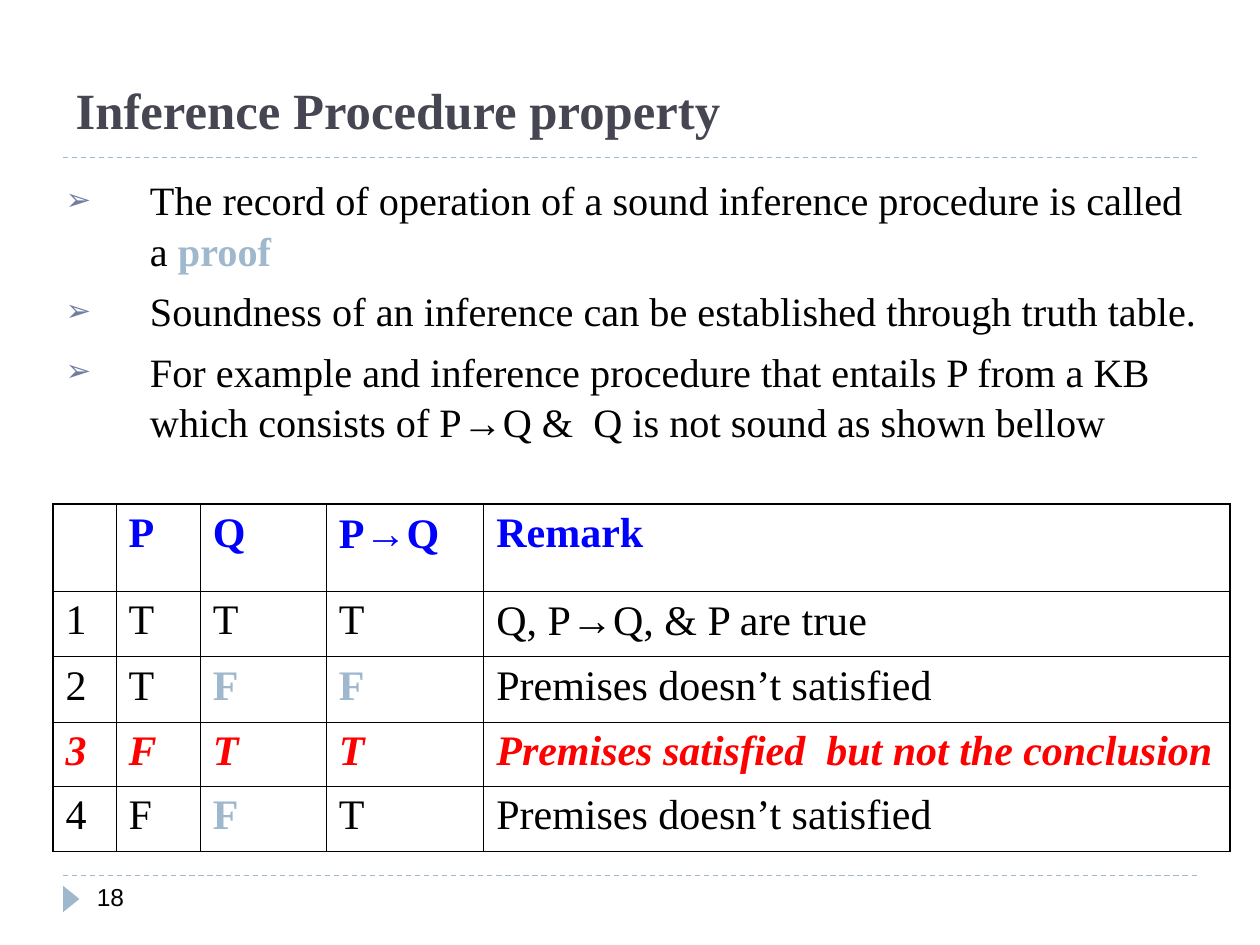
import pptx
import pptx.dml.color
import pptx.enum.dml
import pptx.enum.shapes
import pptx.enum.text
import pptx.oxml.ns
import pptx.util
from lxml import etree

Inches = pptx.util.Inches
Pt = pptx.util.Pt
RGBColor = pptx.dml.color.RGBColor
ANCHOR = pptx.enum.text.MSO_ANCHOR

BLACK = RGBColor(0x00, 0x00, 0x00)
SLATE = RGBColor(0x46, 0x46, 0x53)
PALE = RGBColor(0x9F, 0xB8, 0xCD)
BULLET = RGBColor(0x72, 0x7C, 0xA3)
BLUE = RGBColor(0x00, 0x00, 0xFF)
RED = RGBColor(0xFF, 0x00, 0x00)
SERIF = "Times New Roman"
SANS = "Arial"
ARROW = "→"

POINTS = [
    ("The record of operation of a sound inference procedure is called a ", "proof"),
    ("Soundness of an inference can be established through truth table.", ""),
    ("For example and inference procedure that entails P from a KB "
     "which consists of P→Q &  Q is not sound as shown bellow", ""),
]
ROWS = [
    ("", "P", "Q", "P→Q", "Remark"),
    ("1", "T", "T", "T", "Q, P→Q, & P are true"),
    ("2", "T", "F", "F", "Premises doesn’t satisfied"),
    ("3", "F", "T", "T", "Premises satisfied  but not the conclusion"),
    ("4", "F", "F", "T", "Premises doesn’t satisfied"),
]
WIDTHS = [0.5, 0.67, 1, 1.25, 5.92]
HEIGHTS = [0.69, 0.52, 0.52, 0.51, 0.52]
PALES = {(2, 2), (2, 3), (4, 2)}


def add_tag(parent, tag, **attrs):
    """Append a drawing element to the parent and return it."""
    return etree.SubElement(parent, pptx.oxml.ns.qn(tag), attrs)


def place(shape, box):
    """Move a shape to the box, given in inches."""
    shape.left, shape.top, shape.width, shape.height = map(Inches, box)


def write(para, text, size, color, bold=False, italic=False, face=SERIF):
    """Write text in one style, with arrows in the sans face."""
    font = para.font
    font.name, font.size = face, Pt(size)
    font.bold, font.italic = bold, italic
    font.color.rgb = color
    for part in filter(None, text.partition(ARROW)):
        run = para.add_run()
        run.text = part
        if part == ARROW:
            run.font.name = SANS


def add_rule(slide, left, top, width):
    """Draw a dashed line across the slide."""
    rule = slide.shapes.add_connector(
        pptx.enum.shapes.MSO_CONNECTOR.STRAIGHT,
        Inches(left), Inches(top), Inches(left + width), Inches(top))
    rule.line.color.rgb = PALE
    rule.line.width = Pt(0.75)
    rule.line.dash_style = pptx.enum.dml.MSO_LINE.DASH
    add_tag(rule.element.spPr, "a:effectLst")


def fill_title(slide, box):
    """Set the title."""
    title = slide.shapes.title
    place(title, box)
    frame = title.text_frame
    frame.vertical_anchor = ANCHOR.BOTTOM
    frame.auto_size = pptx.enum.text.MSO_AUTO_SIZE.NONE
    para = frame.paragraphs[0]
    para.alignment = pptx.enum.text.PP_ALIGN.LEFT
    write(para, "Inference Procedure property", 29, SLATE, bold=True)


def add_bullet(para):
    """Give a paragraph its hanging arrow bullet."""
    props = para._p.get_or_add_pPr()
    props.set("marL", str(Inches(0.67)))
    props.set("indent", str(-Inches(0.67)))
    add_tag(add_tag(props, "a:buClr"), "a:srgbClr", val=str(BULLET))
    add_tag(props, "a:buSzPct", val="76000")
    add_tag(props, "a:buFont", typeface=SANS)
    add_tag(props, "a:buChar", char="➢")


def fill_body(slide, box):
    """Set the list of points."""
    body = slide.placeholders[1]
    place(body, box)
    frame = body.text_frame
    frame.auto_size = pptx.enum.text.MSO_AUTO_SIZE.NONE
    frame.vertical_anchor = ANCHOR.TOP
    for num, (text, term) in enumerate(POINTS):
        para = frame.add_paragraph() if num else frame.paragraphs[0]
        para.space_before = Pt(6)
        para.line_spacing = 1.04
        add_bullet(para)
        write(para, text, 23, BLACK)
        if term:
            run = para.add_run()
            run.text = term
            run.font.bold = True
            run.font.color.rgb = PALE


def add_edges(cell, row, col):
    """Draw cell borders, thicker on the outside of the table."""
    props = cell._tc.get_or_add_tcPr()
    outer = {"a:lnL": col == 0, "a:lnR": col == len(WIDTHS) - 1,
             "a:lnT": row == 0, "a:lnB": row == len(ROWS) - 1}
    for tag, thick in outer.items():
        edge = add_tag(props, tag, w=str(Pt(1.08 if thick else 0.45)))
        add_tag(add_tag(edge, "a:solidFill"), "a:srgbClr", val=str(BLACK))


def get_style(row, col):
    """Return colour, bold and italic for a table cell."""
    if row == 0:
        return BLUE, True, False
    if row == 3:
        return RED, True, True
    if (row, col) in PALES:
        return PALE, True, False
    return BLACK, False, False


def add_truth(slide, box):
    """Add the truth table."""
    table = slide.shapes.add_table(len(ROWS), len(WIDTHS), *map(Inches, box)).table
    table.first_row = table.horz_banding = False
    for col, width in zip(table.columns, WIDTHS):
        col.width = Inches(width)
    for row, height in zip(table.rows, HEIGHTS):
        row.height = Inches(height)
    for row, texts in enumerate(ROWS):
        for col, text in enumerate(texts):
            cell = table.cell(row, col)
            add_edges(cell, row, col)
            cell.fill.background()
            para = cell.text_frame.paragraphs[0]
            para.space_before = Pt(6)
            write(para, text, 24, *get_style(row, col))


def add_footer(slide, box):
    """Add the rule, marker and page number at the foot."""
    left, top, width, height = box
    add_rule(slide, left, top, width)
    mark = slide.shapes.add_shape(
        pptx.enum.shapes.MSO_SHAPE.ISOSCELES_TRIANGLE,
        Inches(left - 0.04), Inches(top + 0.12), Inches(0.21), Inches(0.13))
    mark.rotation = 90
    mark.shadow.inherit = False
    mark.fill.solid()
    mark.fill.fore_color.rgb = PALE
    mark.line.fill.background()
    page = slide.shapes.add_textbox(
        Inches(left + 0.17), Inches(top), Inches(2.17), Inches(height))
    page.text_frame.word_wrap = True
    write(page.text_frame.paragraphs[0], "18", 14, BLACK, face=SANS)


def main():
    """Build and save the slide."""
    deck = pptx.Presentation()
    deck.slide_width, deck.slide_height = Inches(10), Inches(7.5)
    slide = deck.slides.add_slide(deck.slide_layouts[1])
    add_rule(slide, 0.5, 1.25, 9)
    fill_title(slide, (0.5, 0.58, 9, 0.58))
    fill_body(slide, (0.42, 1.33, 9.25, 2.67))
    add_truth(slide, (0.42, 4, sum(WIDTHS), sum(HEIGHTS)))
    add_footer(slide, (0.5, 6.95, 9, 0.4))
    deck.save("out.pptx")


if __name__ == "__main__":
    main()
